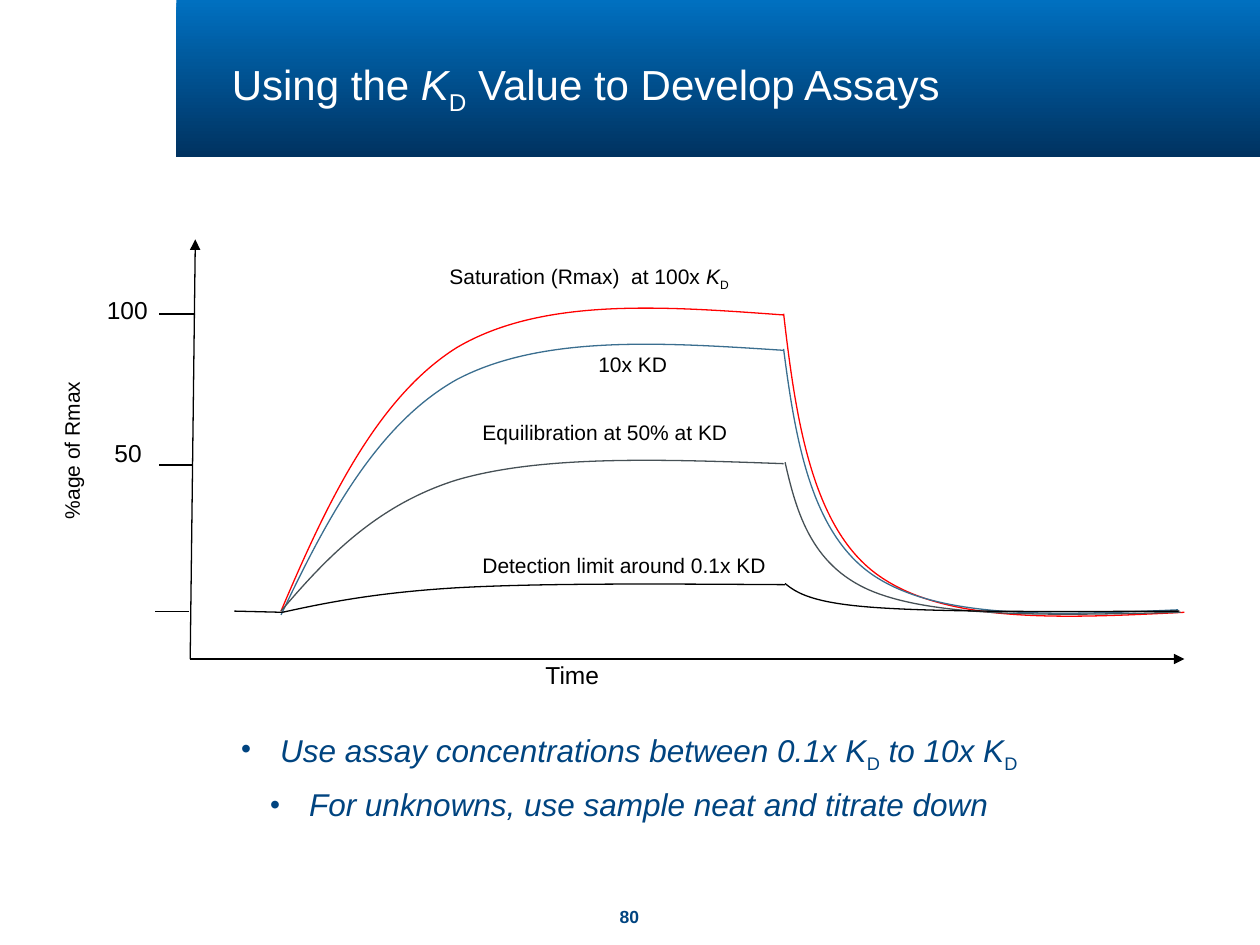
from lxml import etree
from pptx import Presentation
from pptx import util as u
from pptx.dml import color as dml
from pptx.enum import shapes, text
from pptx.oxml import ns

COLORS = {
    "white": "FFFFFF", "black": "000000", "navy": "004480",
    "band_top": "0070C0", "band_bottom": "003260",
    "red": "FF0000", "blue": "3A6E8F", "grey": "465055",
}
ITALIC = {"italic": True}
SUB = {"subscript": True}

# Bezier points as shares of a curve's width and height: x, then y
RISE = list(zip((0, 0.09, 0.19, 0.35, 0.52, 0.76, 1),
                (0, 0.36, 0.72, 0.89, 1.06, 1.03, 1)))
FALL = list(zip((0, 0.03, 0.07, 0.23, 0.4, 0.7, 1),
                (0, 0.35, 0.71, 0.87, 1.04, 1.02, 1)))
PEAK = (0.6, 1.02)

# colour, start and end of the rise, start and end of the fall
CURVES = [
    ("red", (160.6, 349.2), (447.8, 180), (447.8, 179.3), (676.8, 349.9)),
    ("blue", (160.6, 351.4), (447.8, 200.2), (447.8, 199.4), (673.2, 348.5)),
    ("grey", (160.6, 349.2), (447.8, 265), (448.6, 264.2), (674.6, 349.9)),
    ("black", (161.3, 349.9), (448.6, 334.1), (448.6, 333.4), (673.9, 349.2)),
]

AXES = [((108.7, 376.6), (676.8, 376.6)), ((108.7, 376.6), (111.6, 136.8))]
TICKS = [
    ((111.6, 179.5), (90.7, 179.5)),
    ((110.2, 265.7), (90.7, 265.7)),
    ((108, 349.4), (88.8, 349.4)),
    ((161.3, 349.9), (133.9, 349.2)),
]

# left, top, width, height, size, wrap, spans
LABELS = [
    (304.6, 376.3, 45.4, 24.5, 14, False, [("Time", {})]),
    (54, 167.8, 38.2, 24.5, 14, False, [("100", {})]),
    (58.3, 249.1, 30.2, 24.5, 14, False, [("50", {})]),
    (249.8, 148, 192.2, 21.6, 12, True,
     [("Saturation (Rmax)  at 100x ", {}), ("K", ITALIC), ("D", SUB)]),
    (268.6, 238.3, 173.5, 21.6, 12, True, [("Equilibration at 50% at KD", {})]),
    (268.6, 314.2, 182.2, 19.4, 12, True, [("Detection limit around 0.1x KD", {})]),
    (334.8, 199.4, 58.3, 21.6, 12, True, [("10x KD", {})]),
]

BULLETS = [
    [("Use assay concentrations between 0.1x K", ITALIC), ("D", SUB),
     (" to 10x K", ITALIC), ("D", SUB)],
    [("For unknowns, use sample neat and titrate down", ITALIC)],
]


def rgb(name):
    return dml.RGBColor.from_string(COLORS[name])


def set_values(target, values):
    for name, value in values.items():
        setattr(target, name, value)


def add_bullet(para):
    props = para._p.get_or_add_pPr()
    for name, value in {"marL": u.Pt(22.3), "indent": u.Pt(-22.3)}.items():
        props.set(name, str(value))
    color = etree.SubElement(props, ns.qn("a:buClr"))
    etree.SubElement(color, ns.qn("a:srgbClr"), val=COLORS["navy"])
    etree.SubElement(props, ns.qn("a:buSzPct"), val="90000")
    etree.SubElement(props, ns.qn("a:buFont"), typeface="Arial")
    etree.SubElement(props, ns.qn("a:buChar"), char="•")


def add_text(page, place, paras, size, color, wrap=True, inset=True, bold=None,
             anchor=text.MSO_ANCHOR.TOP, align=text.PP_ALIGN.LEFT, bullet=False,
             spacing=0.85):
    """Add a text box; each paragraph is a list of (words, style) spans."""
    box = page.shapes.add_textbox(*map(u.Pt, place))
    frame = box.text_frame
    set_values(frame, {"word_wrap": wrap, "vertical_anchor": anchor})
    if not inset:
        for side in ("left", "top", "right", "bottom"):
            setattr(frame, f"margin_{side}", 0)
    for index, spans in enumerate(paras):
        para = frame.add_paragraph() if index else frame.paragraphs[0]
        if bullet:
            add_bullet(para)
        set_values(para, {"alignment": align, "line_spacing": spacing})
        if index:
            para.space_before = u.Pt(12)
        for words, style in spans:
            span = para.add_run()
            span.text = words
            set_values(span.font, {"name": "Arial", "size": u.Pt(size), "bold": bold,
                                   "italic": style.get("italic", False)})
            span.font.color.rgb = rgb(color)
            if style.get("subscript"):
                span._r.get_or_add_rPr().set("baseline", "-25000")
    return box


def add_band(page):
    band = page.shapes.add_shape(shapes.MSO_SHAPE.RECTANGLE,
                                 *map(u.Pt, (100.8, 0, 619.9, 90)))
    band.shadow.inherit = False
    band.line.fill.background()
    band.fill.gradient()
    band.fill.gradient_angle = 270
    for stop, name in zip(band.fill.gradient_stops, ("band_top", "band_bottom")):
        stop.color.rgb = rgb(name)


def add_line(page, start, end, arrow=False):
    line = page.shapes.add_connector(shapes.MSO_CONNECTOR.STRAIGHT,
                                     *map(u.Pt, (*start, *end)))
    line.line.color.rgb = rgb("black")
    line.line.width = u.Pt(0.75)
    if arrow:
        etree.SubElement(line.line._get_or_add_ln(), ns.qn("a:tailEnd"), type="triangle")
    etree.SubElement(line._element.spPr, ns.qn("a:effectLst"))


def add_curve(page, profile, start, end, color):
    """Stretch a profile of two Bezier pieces between start and end."""
    *points, peak = [tuple(u.Pt(s + share * (e - s)) for s, e, share in zip(start, end, shares))
                     for shares in (*profile, PEAK)]
    # The peak only widens the bounds; the straight segments then become Bezier pieces
    builder = page.shapes.build_freeform(*points[0])
    builder.add_line_segments([points[3], peak, points[6]], close=False)
    curve = builder.convert_to_shape()
    outline = next(curve._element.iter(ns.qn("a:path")))
    for segment in outline.findall(ns.qn("a:lnTo")):
        outline.remove(segment)
    for piece in (points[1:4], points[4:7]):
        bezier = etree.SubElement(outline, ns.qn("a:cubicBezTo"))
        for x, y in piece:
            etree.SubElement(bezier, ns.qn("a:pt"), x=str(x - curve.left), y=str(y - curve.top))
    curve.shadow.inherit = False
    curve.fill.background()
    curve.line.color.rgb = rgb(color)
    curve.line.width = u.Pt(0.75)


def main():
    deck = Presentation()
    set_values(deck, {"slide_width": u.Pt(720), "slide_height": u.Pt(540)})
    page = deck.slides.add_slide(deck.slide_layouts[6])

    add_text(page, (342, 517.7, 35.3, 12.2), [[("80", {})]], 10, "navy", inset=False,
             bold=True, align=text.PP_ALIGN.CENTER, spacing=1.0)
    add_band(page)
    body = add_text(page, (23, 429.1, 673.2, 50.4), BULLETS, 18, "navy", inset=False,
                    anchor=text.MSO_ANCHOR.MIDDLE, align=text.PP_ALIGN.CENTER, bullet=True)
    body.text_frame.margin_bottom = u.Pt(19)
    title = [("Using the ", {}), ("K", ITALIC), ("D", SUB), (" Value to Develop Assays", {})]
    add_text(page, (132.5, 15.8, 587.5, 67), [title], 24, "white", inset=False,
             anchor=text.MSO_ANCHOR.MIDDLE)

    axis_title = add_text(page, (-3.6, 246.2, 93.6, 21.6), [[("%age of Rmax", {})]],
                          12, "black", wrap=False)
    axis_title.rotation = 270
    for color, rise_start, rise_end, fall_start, fall_end in CURVES:
        add_curve(page, RISE, rise_start, rise_end, color)
        add_curve(page, FALL, fall_start, fall_end, color)
    for start, end in AXES:
        add_line(page, start, end, arrow=True)
    for start, end in TICKS:
        add_line(page, start, end)
    for *place, size, wrap, spans in LABELS:
        add_text(page, place, [spans], size, "black", wrap=wrap)

    deck.save("out.pptx")


if __name__ == "__main__":
    main()
